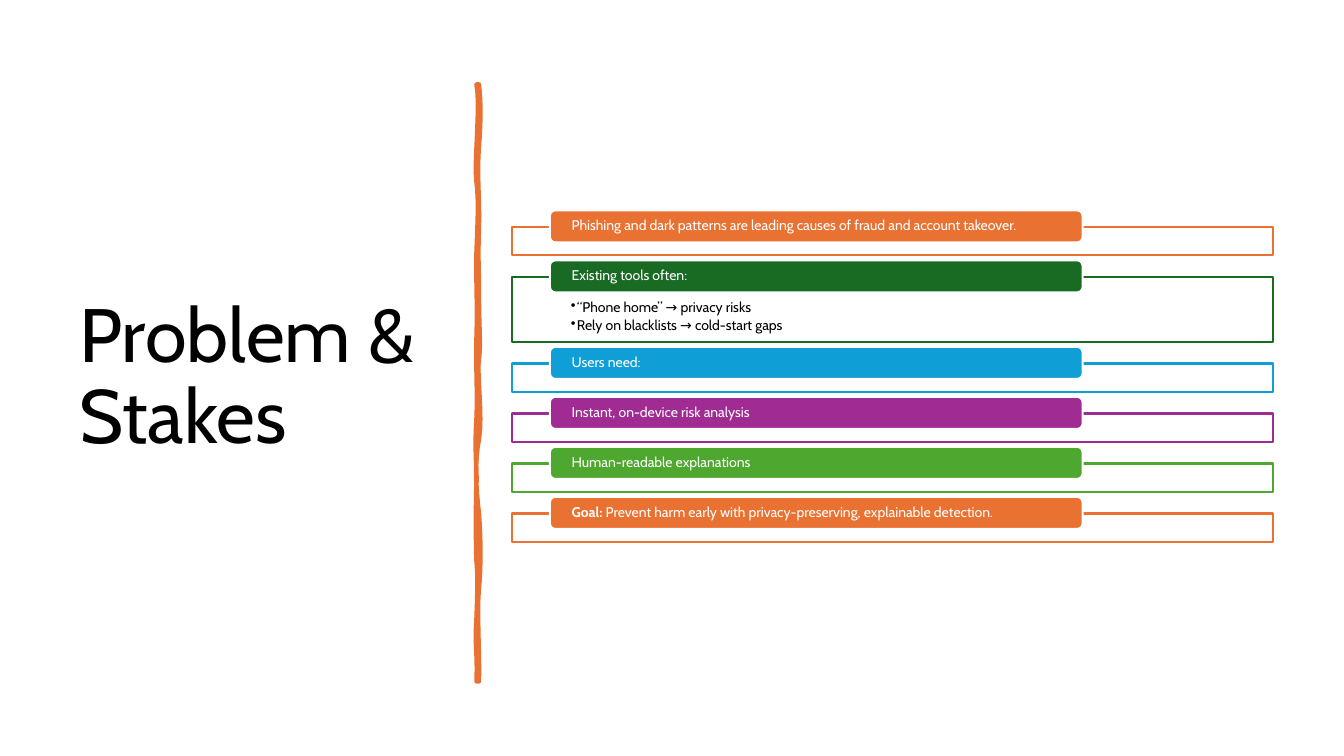
from lxml.etree import SubElement
from pptx import Presentation
from pptx.dml.color import RGBColor
from pptx.enum.shapes import MSO_SHAPE
from pptx.enum.text import MSO_ANCHOR, MSO_AUTO_SIZE, PP_ALIGN
from pptx.oxml.ns import qn
from pptx.util import Cm, Pt

FONT = "Cabin"
ORANGE, WHITE, BLACK = "E97132", "FFFFFF", "000000"

# Each card: colour, heading runs as (text, bold), bullet lines
CARDS = [
    (ORANGE, [("Phishing and dark patterns are leading causes of fraud "
               "and account takeover.", False)], []),
    ("196B24", [("Existing tools often:", False)],
     ["“Phone home” → privacy risks", "Rely on blacklists → cold-start gaps"]),
    ("0F9ED5", [("Users need:", False)], []),
    ("A02B93", [("Instant, on-device risk analysis", False)], []),
    ("4EA72E", [("Human-readable explanations", False)], []),
    (ORANGE, [("Goal:", True),
              (" Prevent harm early with privacy-preserving, explainable detection.",
               False)], []),
]

# Edges of the brush stroke in cm: a start, then cubic curves (two controls, end)
RIGHT_EDGE = [
    (.03, 0), (.08, .46), (.08, .89), (.03, 1.57), (-.03, 2.26), (.05, 2.82),
    (.03, 3.61), (0, 4.39), (.03, 4.52), (.03, 5.33), (.03, 6.12), (.08, 6.55),
    (.03, 6.91), (-.03, 7.26), (.13, 8.38), (.03, 8.94), (-.08, 9.47),
    (-.05, 10.16), (.03, 10.82), (.08, 11.48), (.08, 12.19), (.03, 12.7),
    (-.03, 13.18), (.05, 14.38), (.03, 15.04),
]
LEFT_EDGE = [
    (-.03, 15.04), (0, 14.27), (-.08, 14.22), (-.03, 13.44), (0, 12.67),
    (0, 12.34), (-.03, 12.01), (-.05, 11.68), (-.05, 10.44), (-.03, 9.98),
    (-.03, 9.53), (-.08, 9.17), (-.03, 8.41), (0, 7.67), (-.05, 7.34),
    (-.03, 6.38), (0, 5.44), (-.05, 5), (-.03, 4.22), (0, 3.4), (.03, 2.95),
    (-.03, 2.46), (-.1, 2.01), (.08, .51), (-.03, 0),
]


def rgb(color):
    return RGBColor.from_string(color)


def style(sp, fill, line, width):
    sp.shadow.inherit = False
    sp.fill.solid()
    sp.fill.fore_color.rgb = rgb(fill)
    sp.line.color.rgb = rgb(line)
    sp.line.width = Pt(width)


def set_frame(tf, anchor, left, top, right, bottom):
    """Wrap the text and set its anchor and its insets in cm."""
    tf.word_wrap = True
    tf.auto_size = MSO_AUTO_SIZE.NONE
    tf.vertical_anchor = anchor
    tf.margin_left, tf.margin_top = Cm(left), Cm(top)
    tf.margin_right, tf.margin_bottom = Cm(right), Cm(bottom)


def add_run(p, text, size, color, bold=False):
    p.alignment = PP_ALIGN.LEFT
    p.line_spacing = 0.9
    r = p.add_run()
    r.text = text
    r.font.name = FONT
    r.font.size = Pt(size)
    r.font.bold = bold
    r.font.color.rgb = rgb(color)


def add_bullet(p):
    pPr = p._p.get_or_add_pPr()
    pPr.set("marL", str(Cm(0.15)))
    pPr.set("indent", str(Cm(-0.15)))
    SubElement(pPr, qn("a:buChar")).set("char", "•")


def add_title(slide, x, y, w, h):
    sp = slide.shapes.title
    sp.left, sp.top, sp.width, sp.height = Cm(x), Cm(y), Cm(w), Cm(h)
    set_frame(sp.text_frame, MSO_ANCHOR.MIDDLE, 0.25, 0.13, 0.25, 0.13)
    add_run(sp.text_frame.paragraphs[0], "Problem & Stakes", 54, BLACK)


def flatten(edge, steps=8):
    """Turn a chain of cubic curves into points."""
    points = [edge[0]]
    for i in range(0, len(edge) - 1, 3):
        a, b, c, d = edge[i:i + 4]
        for n in range(1, steps + 1):
            t = n / steps
            u = 1 - t
            points.append(tuple(
                u**3 * a[k] + 3 * u * u * t * b[k] + 3 * u * t * t * c[k] + t**3 * d[k]
                for k in (0, 1)))
    return points


def add_divider(slide, x, y):
    """Draw the brush stroke downwards, centred on x."""
    points = [(Cm(x + dx), Cm(y + dy))
              for dx, dy in flatten(RIGHT_EDGE) + flatten(LEFT_EDGE)]
    builder = slide.shapes.build_freeform(*points[0])
    builder.add_line_segments(points[1:], close=True)
    sp = builder.convert_to_shape()
    style(sp, ORANGE, ORANGE, 3.25)
    SubElement(sp.line._get_or_add_ln(), qn("a:round"))


def add_card(slide, x, y, w, h, color, heading, bullets):
    """Draw a framed panel with a heading bar across its top edge."""
    panel = slide.shapes.add_shape(MSO_SHAPE.RECTANGLE, Cm(x), Cm(y), Cm(w), Cm(h))
    style(panel, WHITE, color, 1.5)
    tf = panel.text_frame
    set_frame(tf, MSO_ANCHOR.TOP, 1.49, 0.58, 1.49, 0.2)
    for i, text in enumerate(bullets):
        p = tf.add_paragraph() if i else tf.paragraphs[0]
        add_run(p, text, 10, BLACK)
        p.space_after = Pt(2)
        add_bullet(p)

    bar = slide.shapes.add_shape(MSO_SHAPE.ROUNDED_RECTANGLE, Cm(x + w * 0.05),
                                 Cm(y - 0.42), Cm(w * 0.7), Cm(0.81))
    style(bar, color, WHITE, 1.5)
    set_frame(bar.text_frame, MSO_ANCHOR.MIDDLE, 0.51, 0, 0.51, 0)
    for text, bold in heading:
        add_run(bar.text_frame.paragraphs[0], text, 10, WHITE, bold)


def add_cards(slide, x, y, w):
    for color, heading, bullets in CARDS:
        h = 1.63 if bullets else 0.71
        add_card(slide, x, y, w, h, color, heading, bullets)
        y += h + 0.55


def main():
    prs = Presentation()
    prs.slide_width, prs.slide_height = Cm(33.87), Cm(19.05)
    slide = prs.slides.add_slide(prs.slide_layouts[5])
    add_title(slide, 1.75, 1.78, 9.5, 15.52)
    add_divider(slide, 12.04, 2.13)
    add_cards(slide, 12.9, 5.72, 19.18)
    prs.save("out.pptx")


if __name__ == "__main__":
    main()
